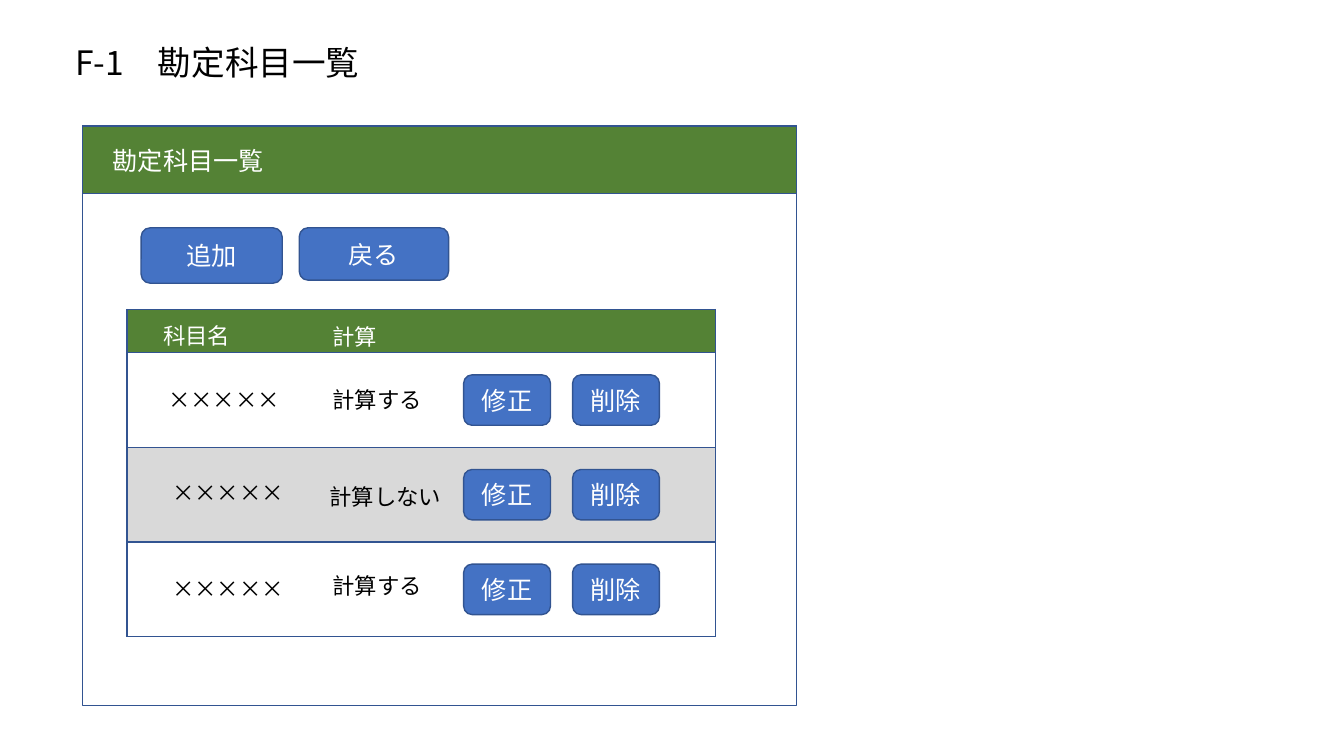
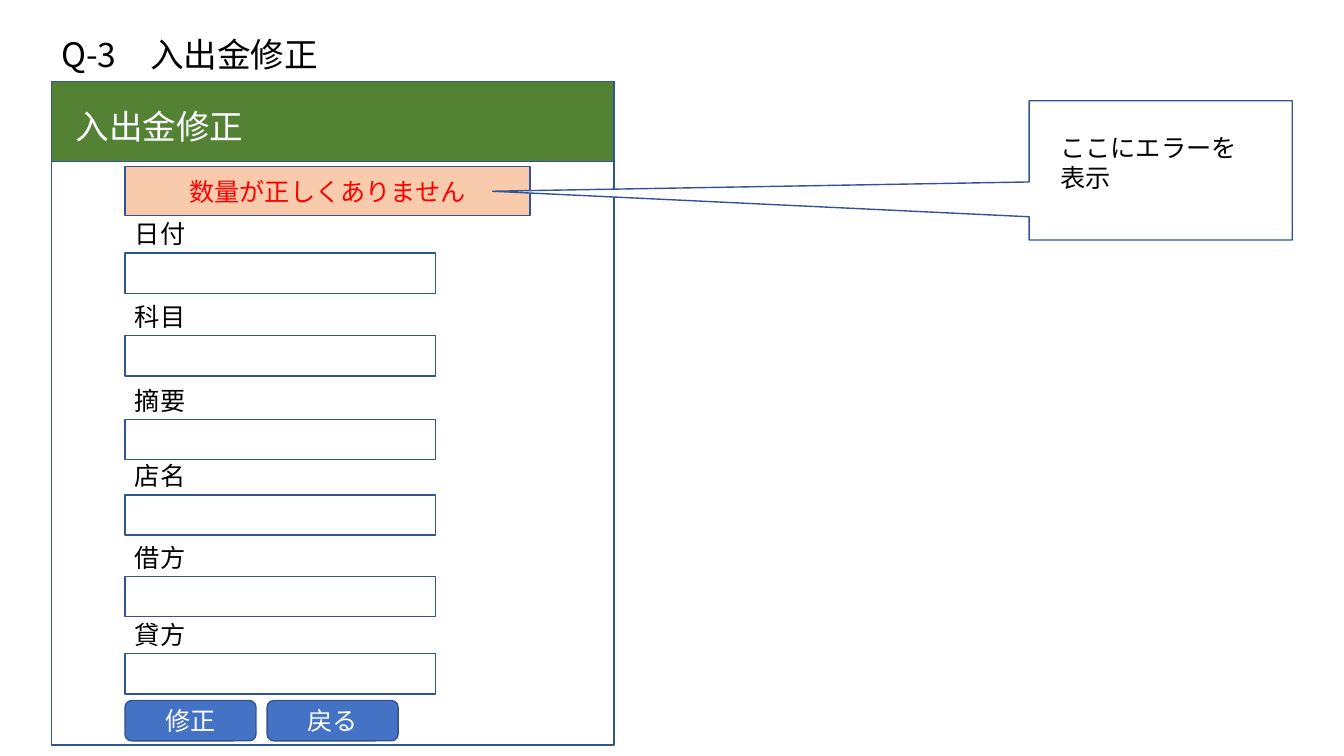
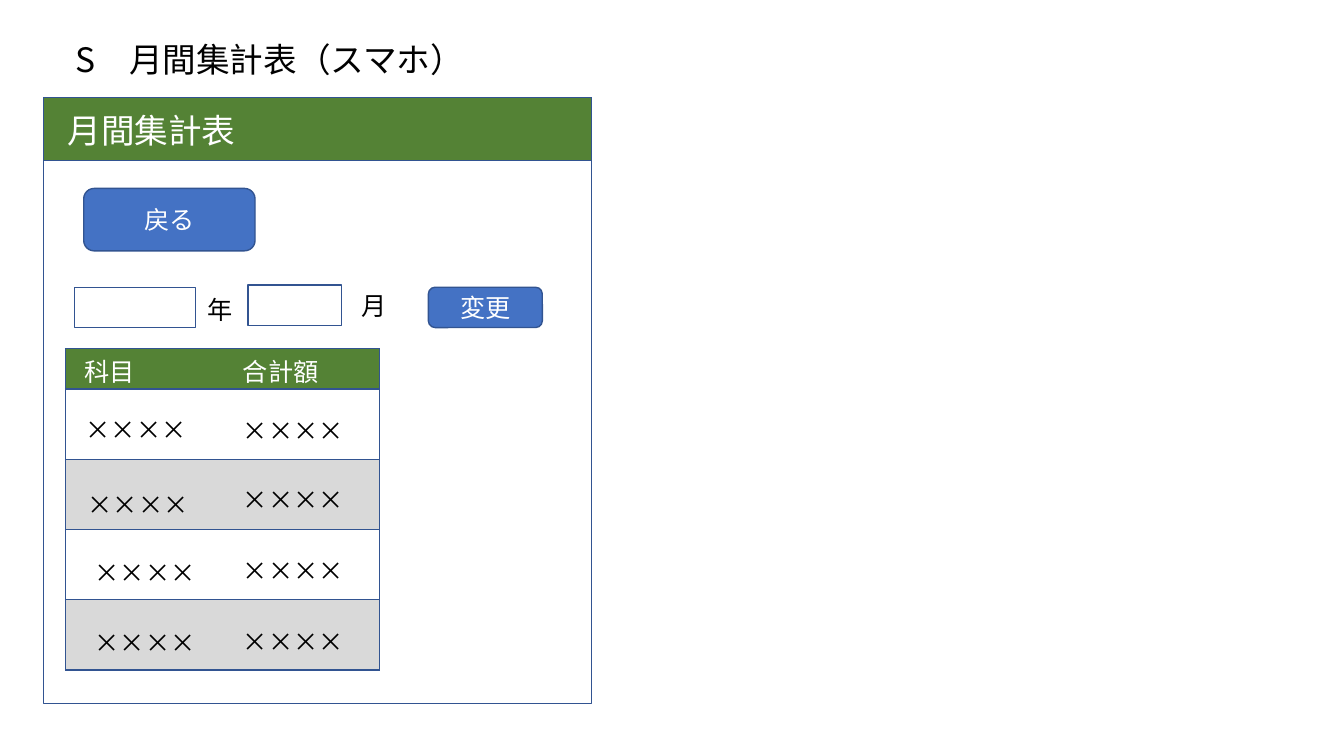
from lxml import etree
from pptx import Presentation
from pptx.dml.color import RGBColor
from pptx.enum import shapes, text
from pptx.oxml import ns
from pptx.util import Pt

FONT = "Noto Sans CJK JP"
BLACK, WHITE, RED = "000000", "FFFFFF", "FF0000"
GREEN, BLUE, EDGE = "548235", "4472C4", "325491"
GREY, PEACH = "D9D9D9", "F8CBAD"
PLAIN_TABLE = "{2D5ABB26-0587-4C30-8999-92F81FD0307C}"
RECT = shapes.MSO_SHAPE.RECTANGLE
ROUND = shapes.MSO_SHAPE.ROUNDED_RECTANGLE
CALLOUT = shapes.MSO_SHAPE.RECTANGULAR_CALLOUT


def rgb(value):
    """Turn a hex string into a colour."""
    return RGBColor.from_string(value)


def points(*values):
    """Turn numbers into lengths in points."""
    return [Pt(value) for value in values]


def paint(fill, colour):
    """Fill with a colour, or leave empty."""
    if colour:
        fill.solid()
        fill.fore_color.rgb = rgb(colour)
    else:
        fill.background()


def write(frame, words, size, colour, align=text.PP_ALIGN.LEFT):
    """Write one paragraph in the shared font."""
    para = frame.paragraphs[0]
    para.text = words
    para.alignment = align
    para.font.size = Pt(size)
    para.font.color.rgb = rgb(colour)
    para.font.name = FONT
    style = para._p.pPr.find(ns.qn("a:defRPr"))
    etree.SubElement(style, ns.qn("a:ea"), typeface=FONT)


def add_label(page, left, top, width, words, size=18, colour=BLACK):
    """Add a text box one line high."""
    box = page.shapes.add_textbox(*points(left, top, width, size * 1.5 + 7))
    box.text_frame.word_wrap = True
    write(box.text_frame, words, size, colour)


def add_block(page, left, top, width, height, fill=None, kind=RECT):
    """Add an outlined shape."""
    block = page.shapes.add_shape(kind, *points(left, top, width, height))
    block.shadow.inherit = False
    paint(block.fill, fill)
    block.line.color.rgb = rgb(EDGE)
    block.line.width = Pt(1)
    return block


def write_centred(block, words, colour):
    """Write text in the middle of a shape."""
    block.text_frame.vertical_anchor = text.MSO_ANCHOR.MIDDLE
    write(block.text_frame, words, 18, colour, text.PP_ALIGN.CENTER)


def write_inset(block, words, size, colour, left, top, right=0):
    """Write text at an inset from the top left corner of a shape."""
    frame = block.text_frame
    frame.word_wrap = True
    frame.vertical_anchor = text.MSO_ANCHOR.TOP
    frame.margin_left, frame.margin_top, frame.margin_right = points(left, top, right)
    write(frame, words, size, colour)


def add_button(page, left, top, width, height, words):
    """Add a blue rounded button."""
    write_centred(add_block(page, left, top, width, height, BLUE, ROUND), words, WHITE)


def add_panel(page, box, band_height, heading, size, inset):
    """Add a window outline with a green heading band."""
    left, top, width, height = box
    add_block(page, left, top, width, height)
    band = add_block(page, left, top, width, band_height, GREEN)
    write_inset(band, heading, size, WHITE, *inset)


def add_cell_edges(cell, sides):
    """Draw the named sides of a table cell."""
    properties = cell._tc.get_or_add_tcPr()
    for side in sides:
        line = etree.SubElement(properties, ns.qn("a:ln" + side), w=str(Pt(1)))
        fill = etree.SubElement(line, ns.qn("a:solidFill"))
        etree.SubElement(fill, ns.qn("a:srgbClr"), val=EDGE)


def add_list(page, left, top, widths, heights, rows, size):
    """Add a striped table whose cells are (words, left inset, top inset)."""
    frame = page.shapes.add_table(
        len(rows), len(widths), *points(left, top, sum(widths), sum(heights)))
    table = frame.table
    table.first_row = table.horz_banding = False
    table._tbl.tblPr.find(ns.qn("a:tableStyleId")).text = PLAIN_TABLE
    for column, width in zip(table.columns, widths):
        column.width = Pt(width)
    for index, (row, height, entries) in enumerate(zip(table.rows, heights, rows)):
        row.height = Pt(height)
        fill = GREEN if index == 0 else (None, GREY)[(index - 1) % 2]
        for place, (words, inset, drop) in enumerate(entries):
            cell = row.cells[place]
            sides = ["L"] * (place == 0) + ["R"] * (place == len(widths) - 1)
            add_cell_edges(cell, sides + ["T", "B"])
            paint(cell.fill, fill)
            cell.margin_left, cell.margin_top = points(inset, drop)
            cell.margin_right = cell.margin_bottom = 0
            write(cell.text_frame, words, size, BLACK if index else WHITE)


def build_accounts(page, box):
    """Build the list of accounts."""
    left, top = box[:2]
    add_label(page, 46.8, 26.6, 339, "F-1　勘定科目一覧", 24)
    add_panel(page, box, 48.2, "勘定科目一覧", 18, (21.6, 13.7))
    add_button(page, left + 41.8, top + 72.7, 100.8, 39.6, "追加")
    add_button(page, left + 154.8, top + 72.7, 106.6, 37.4, "戻る")
    empty = ("", 0, 0)
    rows = [
        [("科目名", 25.9, 6.5), ("計算", 14.4, 7.2), empty],
        [("×××××", 29.5, 21.6), ("計算する", 14.4, 21.6), empty],
        [("×××××", 32.4, 20.2), ("計算しない", 12.2, 23), empty],
        [("×××××", 32.4, 20.9), ("計算する", 14.4, 19.4), empty],
    ]
    pitch = 67.6
    add_list(page, left + 31.7, top + 131, [132.5, 100.8, 187.2],
             [31] + [pitch] * 3, rows, 16)
    for index in range(3):
        for place, words in enumerate(["修正", "削除"]):
            add_button(page, left + 272.2 + 77.8 * place,
                       top + 177.8 + pitch * index, 62, 36, words)


def build_entry_form(page, box):
    """Build the form that corrects an entry."""
    left, top = box[:2]
    indent = left + 52.6
    add_label(page, 36.7, 20.9, 680, "Q-3　入出金修正", 24)
    add_panel(page, box, 56.9, "入出金修正", 24, (17.3, 17.3))
    error = add_block(page, indent, top + 60.5, 289.4, 35.3, PEACH)
    write_centred(error, "数量が正しくありません", RED)
    fields = {"日付": 94.3, "科目": 153.4, "摘要": 213.1,
              "店名": 267.1, "借方": 325.4, "貸方": 380.5}
    for words, drop in fields.items():
        add_label(page, indent, top + drop, 187.2, words)
        add_block(page, indent, top + drop + 28.1, 221.8, 28.8)
    for place, words in enumerate(["修正", "戻る"]):
        add_button(page, indent + 101.5 * place, top + 442.1, 93.6, 28.8, words)
    callout = add_block(page, 735.1, 72, 187.9, 99.4, WHITE, CALLOUT)
    callout.adjustments[0], callout.adjustments[1] = -2.54, 0.15
    write_inset(callout, "ここにエラーを表示", 18, BLACK, 22.3, 22.3, 26.6)


def build_monthly_totals(page, box):
    """Build the table of monthly totals for phones."""
    left, top = box[:2]
    add_label(page, 46.8, 24.5, 339, "S　月間集計表（スマホ）", 24)
    add_panel(page, box, 44.8, "月間集計表", 24, (17.3, 8.6))
    add_button(page, left + 28.8, top + 64.8, 122.4, 44.6, "戻る")
    add_block(page, left + 22.3, top + 135.4, 86.4, 28.8)
    add_label(page, left + 110.2, top + 136.8, 41.8, "年")
    add_block(page, left + 146.2, top + 133.9, 67, 28.8)
    add_label(page, left + 220.3, top + 133.9, 31, "月")
    add_button(page, left + 275, top + 135.4, 81.4, 28.8, "変更")
    insets = [(14.4, 15.1, 15.8), (15.8, 18.4, 14.8),
              (20.9, 16.6, 15.8), (20.9, 16.6, 15.8)]
    rows = [[("科目", 13.7, 2.6), ("合計額", 7.2, 2.6)]]
    rows += [[("××××", inset, drop), ("××××", 7.2, total_drop)]
             for inset, drop, total_drop in insets]
    add_list(page, left + 15.8, top + 179.3, [119.5, 105.1],
             [28.8] + [50.2] * 4, rows, 18)


def main():
    """Build and save the deck."""
    deck = Presentation()
    deck.slide_width, deck.slide_height = points(960, 540)
    for build, box in [
        (build_accounts, (59, 90, 510, 414)),
        (build_entry_form, (36.7, 58.3, 401.8, 473.8)),
        (build_monthly_totals, (31, 69.8, 391.7, 432.7)),
    ]:
        build(deck.slides.add_slide(deck.slide_layouts[6]), box)
    deck.save("out.pptx")


if __name__ == "__main__":
    main()
